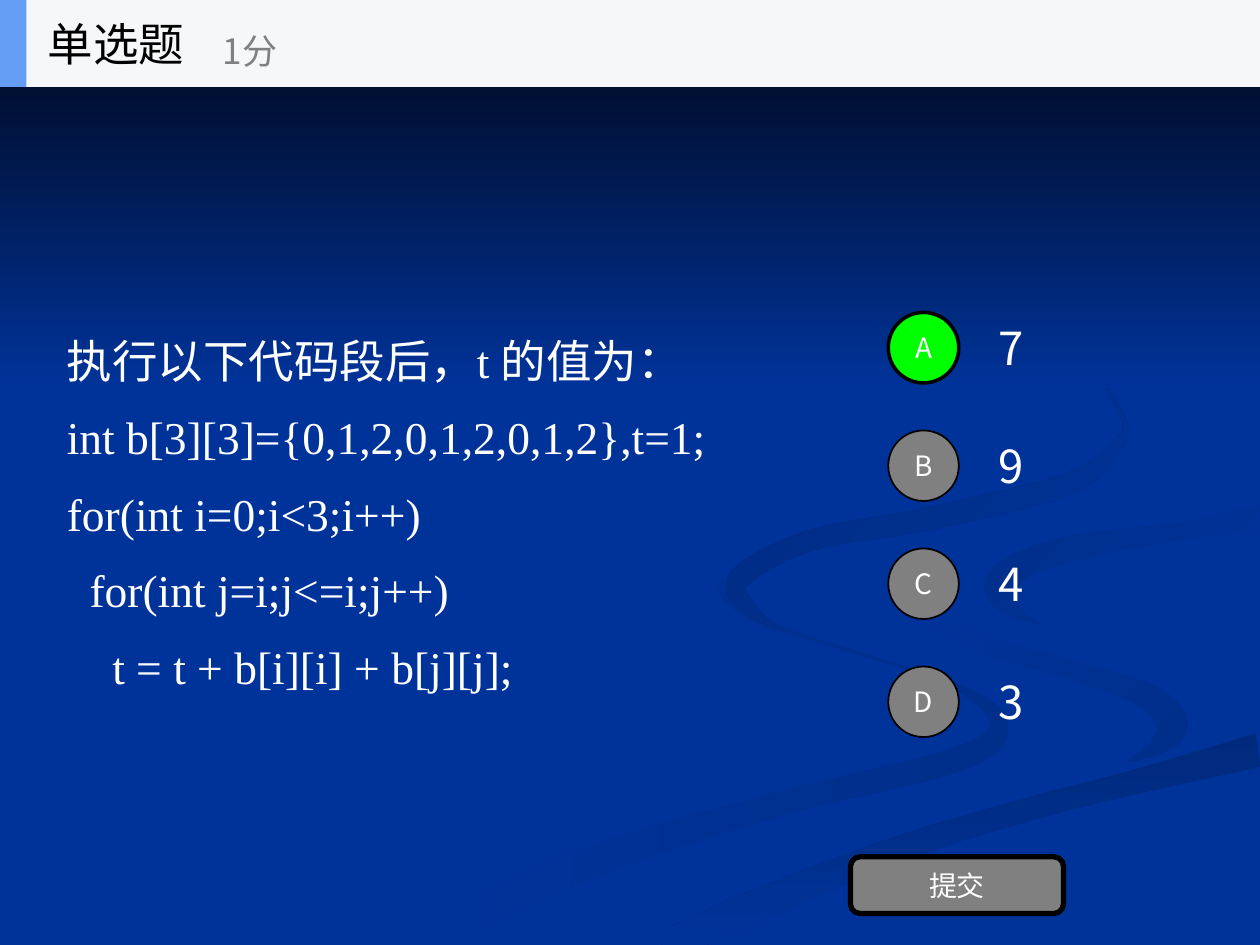
from dataclasses import dataclass
from math import hypot

from lxml.etree import SubElement
from pptx import Presentation
from pptx.dml.color import RGBColor
from pptx.enum.shapes import MSO_SHAPE
from pptx.enum.text import MSO_ANCHOR, MSO_AUTO_SIZE, PP_ALIGN
from pptx.oxml.ns import qn
from pptx.util import Inches, Pt


@dataclass(frozen=True)
class Theme:
    background: str = "003399"
    band_top: str = "000514"
    ribbon_light: str = "002E8B"
    ribbon_dark: str = "002A7D"
    white: str = "FFFFFF"
    black: str = "000000"
    gray: str = "808080"
    correct: str = "00FF00"
    header: str = "F6F7F8"
    accent: str = "639EF4"
    sans: str = "Noto Sans CJK SC"
    serif: str = "Times New Roman"
    large: int = 26
    medium: int = 20
    small: int = 16


@dataclass(frozen=True)
class Ribbon:
    first: str
    last: str
    angle: int
    knots: tuple


THEME = Theme()
SLIDE_WIDTH, SLIDE_HEIGHT = 10, 7.5
STEPS_PER_KNOT = 6

WIDE_RIBBON = Ribbon(THEME.background, THEME.background, 0, (
    (10, 3.95, 0.15), (8.6, 4.17, 0.15), (7.53, 4.62, 0.5), (8.3, 5.09, 0.22),
    (9.05, 5.3, 0.22), (9.7, 5.65, 0.55), (8.6, 6.19, 0.1), (7, 6.62, 0.15), (4.9, 7.45, 0.15)))
LEFT_RIBBON = Ribbon(THEME.background, THEME.ribbon_light, 0, (
    (5.75, 4.59, 0), (5.73, 4.71, 0.06), (6.03, 4.93, 0.05), (6.8, 5.18, 0.02), (7.55, 5.43, 0.04),
    (7.93, 5.73, 0.14), (7.62, 6.02, 0.19), (6.19, 6.38, 0.19), (4.62, 6.87, 0.26), (3.2, 7.55, 0.3)))
RIGHT_HOOK = Ribbon(THEME.background, THEME.ribbon_light, 45, (
    (7.24, 4.64, 0), (7.35, 4.86, 0.05), (7.78, 5.11, 0.14), (8.52, 5.32, 0.15),
    (9.1, 5.52, 0.2), (9.3, 5.75, 0.25), (9.18, 5.93, 0.13), (8.94, 6.05, 0)))
LOWER_SWEEP = Ribbon(THEME.ribbon_dark, THEME.background, 90, (
    (5.2, 7.58, 0.3), (6, 7.19, 0.25), (7.1, 6.75, 0.2),
    (8.1, 6.44, 0.18), (9.03, 6.2, 0.19), (10, 5.95, 0.27)))
RIGHT_ARC = Ribbon(THEME.ribbon_light, THEME.background, 45, (
    (10, 4.11, 0.18), (9.35, 4.22, 0.14), (8.62, 4.33, 0.19), (8.12, 4.48, 0.22),
    (7.93, 4.67, 0.24), (8.05, 4.85, 0.1), (8.26, 4.96, 0)))
UPPER_RIBBON = Ribbon(THEME.ribbon_dark, THEME.background, 45, (
    (7.62, 2.33, 0), (8.55, 2.84, 0.02), (8.9, 3.28, 0.03), (8.88, 3.52, 0.08), (8.48, 3.84, 0.17),
    (7.36, 4.12, 0.18), (6.43, 4.29, 0.16), (5.86, 4.6, 0.17), (5.98, 4.86, 0.09), (6.22, 5, 0)))
RIBBONS = [WIDE_RIBBON, LEFT_RIBBON, RIGHT_HOOK, LOWER_SWEEP, RIGHT_ARC, UPPER_RIBBON]

QUESTION = [
    "执行以下代码段后，t 的值为：",
    "int b[3][3]={0,1,2,0,1,2,0,1,2},t=1;",
    "for(int i=0;i<3;i++)",
    "  for(int j=i;j<=i;j++)",
    "    t = t + b[i][i] + b[j][j];",
]
OPTIONS = [("A", "7"), ("B", "9"), ("C", "4"), ("D", "3")]
CORRECT_LETTER = "A"


def color(value):
    return RGBColor.from_string(value)


def write(shape, lines, size, text_color, font=THEME.sans, align=PP_ALIGN.LEFT, spacing=1.0, wrap=True):
    frame = shape.text_frame
    frame.text = "\n".join(lines)
    frame.word_wrap = wrap
    frame.auto_size = MSO_AUTO_SIZE.NONE
    frame.vertical_anchor = MSO_ANCHOR.MIDDLE
    for paragraph in frame.paragraphs:
        paragraph.alignment = align
        paragraph.line_spacing = spacing
        paragraph.space_before = Pt(0)
        properties = paragraph._p.get_or_add_pPr()
        properties.set("marL", "0")
        properties.set("indent", "0")
        SubElement(properties, qn("a:buNone"))
        paragraph.font.size = Pt(size)
        paragraph.font.name = font
        paragraph.font.color.rgb = color(text_color)
        defaults = properties.find(qn("a:defRPr"))
        SubElement(defaults, qn("a:ea")).set("typeface", THEME.sans)


def place(shape, left, top, width, height):
    shape.left, shape.top = Inches(left), Inches(top)
    shape.width, shape.height = Inches(width), Inches(height)
    shape.element.getparent().append(shape.element)


def add_label(slide, box, text, size, text_color, wrap=True):
    label = slide.shapes.add_textbox(*map(Inches, box))
    write(label, [text], size, text_color, wrap=wrap)


def add_panel(slide, kind, box, fill, line_width=0):
    panel = slide.shapes.add_shape(kind, *map(Inches, box))
    panel.shadow.inherit = False
    panel.fill.solid()
    panel.fill.fore_color.rgb = color(fill)
    if line_width:
        panel.line.color.rgb = color(THEME.black)
        panel.line.width = Pt(line_width)
    else:
        panel.line.fill.background()
    return panel


def paint_gradient(shape, first, last, angle):
    shape.shadow.inherit = False
    shape.line.fill.background()
    shape.fill.gradient()
    shape.fill.gradient_angle = (360 - angle) % 360
    for stop, value in zip(shape.fill.gradient_stops, (first, last)):
        stop.color.rgb = color(value)


def blend(before, start, end, after, t):
    return start + t / 2 * (end - before + t * (
        2 * before - 5 * start + 4 * end - after + t * (3 * (start - end) + after - before)))


def smooth_spine(knots):
    padded = [knots[0], *knots, knots[-1]]
    spine = [
        tuple(blend(*values, step / STEPS_PER_KNOT) for values in zip(*padded[index:index + 4]))
        for index in range(len(knots) - 1)
        for step in range(STEPS_PER_KNOT)
    ]
    return [*spine, knots[-1]]


def ribbon_outline(knots):
    spine = smooth_spine(knots)
    left_edge, right_edge = [], []
    for index, (x, y, width) in enumerate(spine):
        start, end = spine[max(index - 1, 0)], spine[min(index + 1, len(spine) - 1)]
        run, rise = end[0] - start[0], end[1] - start[1]
        reach = max(width, 0) / 2 / hypot(run, rise)
        for edge, side in ((left_edge, reach), (right_edge, -reach)):
            edge.append((min(x - rise * side, SLIDE_WIDTH), min(y + run * side, SLIDE_HEIGHT)))
    return left_edge + right_edge[::-1]


def add_ribbon(slide, ribbon):
    start, *rest = [(Inches(x), Inches(y)) for x, y in ribbon_outline(ribbon.knots)]
    builder = slide.shapes.build_freeform(*start)
    builder.add_line_segments(rest, close=True)
    paint_gradient(builder.convert_to_shape(), ribbon.first, ribbon.last, ribbon.angle)


def add_backdrop(slide, left, top, width, height):
    slide.background.fill.solid()
    slide.background.fill.fore_color.rgb = color(THEME.background)
    for ribbon in RIBBONS:
        add_ribbon(slide, ribbon)
    band = slide.shapes.add_shape(MSO_SHAPE.RECTANGLE, *map(Inches, (left, top, width, height)))
    paint_gradient(band, THEME.band_top, THEME.background, 90)


def add_header(slide, left, top, width, height):
    add_panel(slide, MSO_SHAPE.RECTANGLE, (left, top, width, height), THEME.header)
    add_panel(slide, MSO_SHAPE.RECTANGLE, (left, top, 0.21, height), THEME.accent)
    title = slide.shapes.title
    place(title, left + 0.28, top, 2.08, height)
    write(title, ["单选题"], THEME.large, THEME.black, wrap=False)
    add_label(slide, (left + 1.67, top + 0.12, 2.5, 0.56), "1分", THEME.medium, THEME.gray, wrap=False)


def add_question(slide, left, top, width, height):
    body = slide.placeholders[1]
    place(body, left, top, width, height)
    write(body, QUESTION, THEME.large, THEME.white, font=THEME.serif, spacing=1.4)


def add_options(slide, left, top, width, height):
    label_width, label_height, badge_size = 0.95, 0.7, 0.56
    pitch = (height - label_height) / (len(OPTIONS) - 1)
    for index, (letter, answer) in enumerate(OPTIONS):
        row = top + index * pitch
        label_box = (left + width - label_width, row, label_width, label_height)
        add_label(slide, label_box, answer, THEME.large, THEME.white)
        badge_box = (left, row + (label_height - badge_size) / 2, badge_size, badge_size)
        fill, line_width = (THEME.correct, 2) if letter == CORRECT_LETTER else (THEME.gray, 1)
        badge = add_panel(slide, MSO_SHAPE.OVAL, badge_box, fill, line_width)
        write(badge, [letter], THEME.small, THEME.white, align=PP_ALIGN.CENTER)


def add_submit_button(slide, left, top, width, height):
    button = add_panel(slide, MSO_SHAPE.ROUNDED_RECTANGLE, (left, top, width, height), THEME.gray, 3)
    write(button, ["提交"], THEME.small, THEME.white, align=PP_ALIGN.CENTER)


def main():
    presentation = Presentation()
    presentation.slide_width, presentation.slide_height = Inches(SLIDE_WIDTH), Inches(SLIDE_HEIGHT)
    slide = presentation.slides.add_slide(presentation.slide_layouts[1])
    add_backdrop(slide, 0, 0, SLIDE_WIDTH, 3.08)
    add_question(slide, 0.43, 1.87, 5.51, 4.23)
    add_options(slide, 7.05, 2.41, 1.73, 3.51)
    add_submit_button(slide, 6.75, 6.8, 1.69, 0.45)
    add_header(slide, 0, 0, SLIDE_WIDTH, 0.69)
    presentation.save("out.pptx")


if __name__ == "__main__":
    main()
